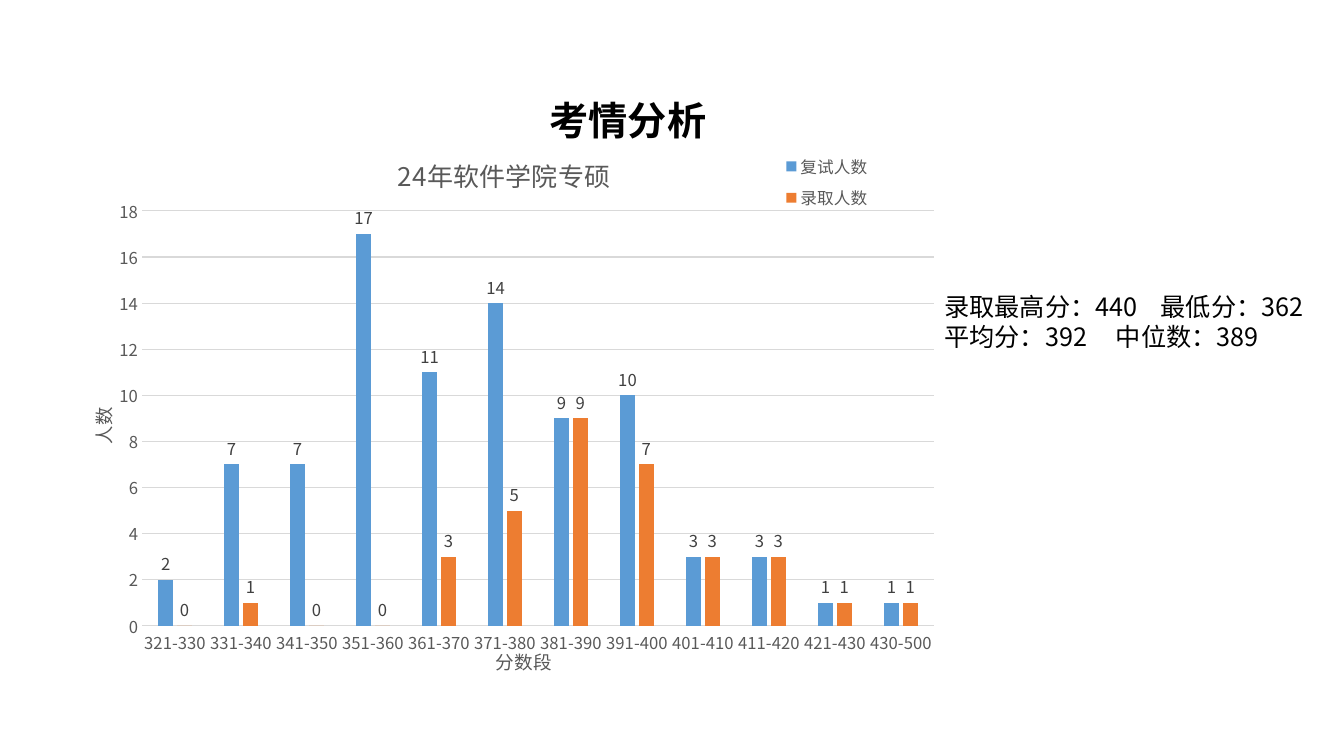
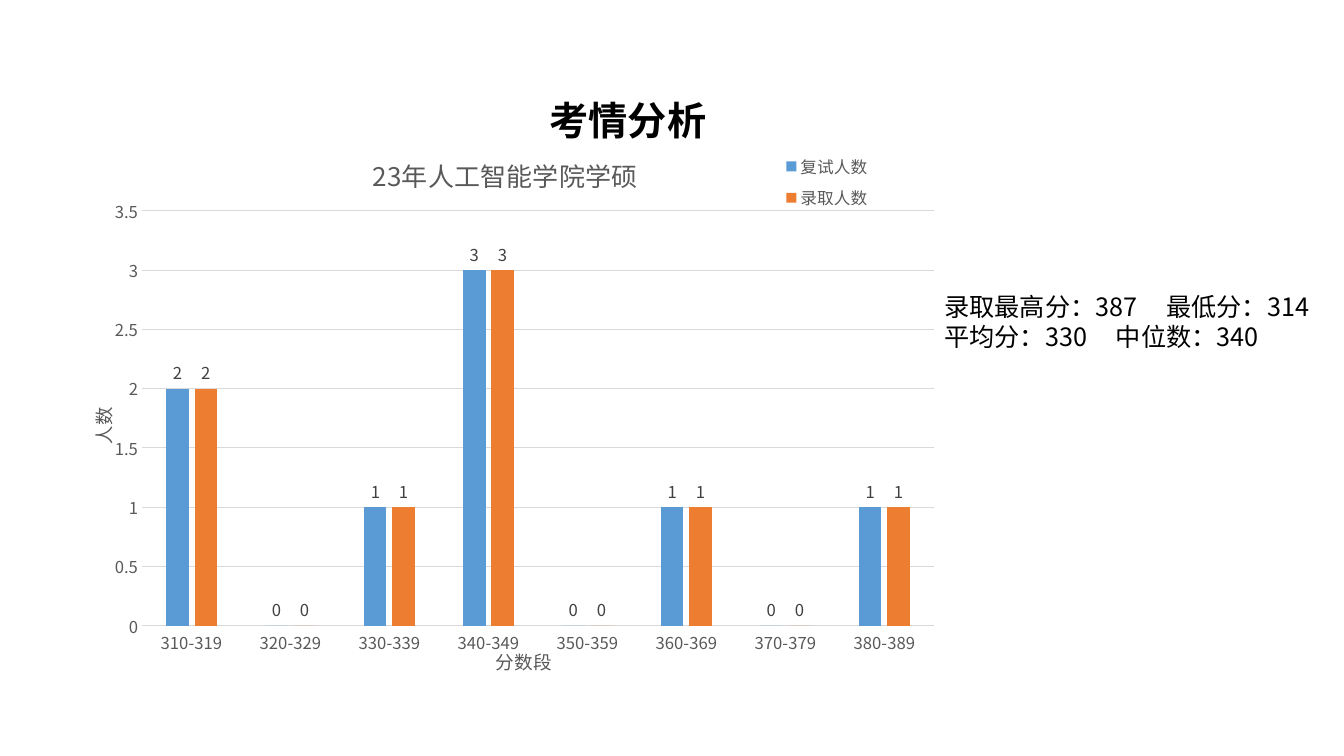
from dataclasses import dataclass

import lxml.etree
import pptx
import pptx.chart.data
import pptx.dml.color
import pptx.enum.chart
import pptx.enum.text
import pptx.oxml
import pptx.oxml.ns
import pptx.util

Pt = pptx.util.Pt
RGBColor = pptx.dml.color.RGBColor
qn = pptx.oxml.ns.qn

BLACK = RGBColor(0x00, 0x00, 0x00)
AXIS_TEXT = RGBColor(0x59, 0x59, 0x59)
LABEL_TEXT = RGBColor(0x40, 0x40, 0x40)
GRID = RGBColor(0xD9, 0xD9, 0xD9)
BLUE = RGBColor(0x5B, 0x9B, 0xD5)
ORANGE = RGBColor(0xED, 0x7D, 0x31)

HEADING_FONT = "Arial"
BODY_FONT = "Noto Sans CJK SC"
CHART_SIZE = 11.9
AXIS_TITLE_SIZE = 13.3
CHART_TITLE_SIZE = 18.6
CHART_WIDTH, CHART_HEIGHT = 607.5, 390

HEADING = "考情分析"
SERIES = (("复试人数", BLUE), ("录取人数", ORANGE))


@dataclass
class StatLine:
    left: str
    right: str
    tab: float


@dataclass
class ScoreSlide:
    title: str
    title_x: float
    bands: tuple[str, ...]
    interviewed: tuple[int, ...]
    admitted: tuple[int, ...]
    axis_max: float
    axis_step: float
    stats: tuple[StatLine, ...]


def score_bands(first: int, stop: int, width: int) -> tuple[str, ...]:
    """Labels of bands starting every ten points, each ending width later."""
    return tuple(f"{a}-{a + width}" for a in range(first, stop, 10))


SLIDES = (
    ScoreSlide(
        "24年软件学院专硕", 221,
        score_bands(321, 431, 9) + ("430-500",),
        (2, 7, 7, 17, 11, 14, 9, 10, 3, 3, 1, 1),
        (0, 1, 0, 0, 3, 5, 9, 7, 3, 3, 1, 1),
        18, 2,
        (StatLine("录取最高分：440", "最低分：362", 154.5),
         StatLine("平均分：392", "中位数：389", 122.5)),
    ),
    ScoreSlide(
        "23年人工智能学院学硕", 203,
        score_bands(310, 390, 9),
        (2, 0, 1, 3, 0, 1, 0, 1),
        (2, 0, 1, 3, 0, 1, 0, 1),
        3.5, 0.5,
        (StatLine("录取最高分：387", "最低分：314", 158.5),
         StatLine("平均分：330", "中位数：340", 122.5)),
    ),
)


def style_font(font, size: float, color: RGBColor, name: str = BODY_FONT,
               bold: bool = False) -> None:
    font.name = name
    font.size = Pt(size)
    font.bold = bold
    font.color.rgb = color


def set_east_asian_fonts(root) -> None:
    """Repeat every Latin body font as the East Asian font."""
    for latin in list(root.iter(qn("a:latin"))):
        if latin.get("typeface") == BODY_FONT:
            latin.addnext(latin.makeelement(qn("a:ea"), {"typeface": BODY_FONT}))


def place(el, x: float, y: float, w: float | None = None,
          h: float | None = None) -> None:
    """Give a chart part a manual layout, in points within the chart."""
    for old in el.findall(qn("c:layout")):
        el.remove(old)
    layout = el.makeelement(qn("c:layout"), {})
    manual = lxml.etree.SubElement(layout, qn("c:manualLayout"))
    values = {"xMode": "edge", "yMode": "edge"}
    if el.tag == qn("c:plotArea"):
        values = {"layoutTarget": "inner"} | values
    values |= {"x": x / CHART_WIDTH, "y": y / CHART_HEIGHT}
    if w is not None and h is not None:
        values |= {"w": w / CHART_WIDTH, "h": h / CHART_HEIGHT}
    for tag, value in values.items():
        lxml.etree.SubElement(manual, qn(f"c:{tag}")).set("val", str(value))
    before = [c for c in el if c.tag in (qn("c:tx"), qn("c:legendPos"))]
    el.insert(len(before), layout)


def add_text_box(s, left: float, top: float, width: float, height: float):
    tf = s.shapes.add_textbox(Pt(left), Pt(top), Pt(width), Pt(height)).text_frame
    tf.word_wrap = True
    tf.auto_size = pptx.enum.text.MSO_AUTO_SIZE.SHAPE_TO_FIT_TEXT
    return tf


def add_heading(s) -> None:
    tf = add_text_box(s, 256.5, 65.5, 384, 41)
    tf.text = HEADING
    p = tf.paragraphs[0]
    p.alignment = pptx.enum.text.PP_ALIGN.CENTER
    style_font(p.runs[0].font, 28, BLACK, HEADING_FONT, True)


def add_stats(s, stats: tuple[StatLine, ...]) -> None:
    tf = add_text_box(s, 667.5, 204.5, 302.5, 51)
    tf.text = "\n".join(f"{line.left}\t{line.right}" for line in stats)
    for p, line in zip(tf.paragraphs, stats):
        for r in p.runs:
            style_font(r.font, 18, BLACK)
        set_east_asian_fonts(p._p)
        tabs = lxml.etree.SubElement(p._p.get_or_add_pPr(), qn("a:tabLst"))
        tab = lxml.etree.SubElement(tabs, qn("a:tab"))
        tab.set("pos", str(int(Pt(line.tab))))
        tab.set("algn", "l")


def set_title(title, text: str, size: float) -> None:
    title.text_frame.text = text
    style_font(title.text_frame.paragraphs[0].runs[0].font, size, AXIS_TEXT)


def style_axes(chart, data: ScoreSlide) -> None:
    cat, val = chart.category_axis, chart.value_axis
    for axis, text in ((cat, "分数段"), (val, "人数")):
        set_title(axis.axis_title, text, AXIS_TITLE_SIZE)
        axis.major_tick_mark = pptx.enum.chart.XL_TICK_MARK.NONE
        axis.minor_tick_mark = pptx.enum.chart.XL_TICK_MARK.NONE
        style_font(axis.tick_labels.font, CHART_SIZE, AXIS_TEXT)
    val.has_major_gridlines = True
    for line in (cat.format.line, val.major_gridlines.format.line):
        line.color.rgb = GRID
        line.width = Pt(0.75)
    val.format.line.fill.background()
    val.minimum_scale = 0
    val.maximum_scale = data.axis_max
    val.major_unit = data.axis_step


def style_series(plot) -> None:
    plot.gap_width = 219
    plot.overlap = -27
    plot.vary_by_categories = False
    for series, (_, color) in zip(plot.series, SERIES):
        series.format.fill.solid()
        series.format.fill.fore_color.rgb = color
        labels = series.data_labels
        labels.show_value = True
        labels.position = pptx.enum.chart.XL_LABEL_POSITION.OUTSIDE_END
        style_font(labels.font, CHART_SIZE, LABEL_TEXT)


def add_score_chart(s, data: ScoreSlide) -> None:
    cd = pptx.chart.data.CategoryChartData()
    cd.categories = data.bands
    for (name, _), values in zip(SERIES, (data.interviewed, data.admitted)):
        cd.add_series(name, values)
    chart = s.shapes.add_chart(
        pptx.enum.chart.XL_CHART_TYPE.COLUMN_CLUSTERED,
        Pt(60), Pt(96), Pt(CHART_WIDTH), Pt(CHART_HEIGHT), cd).chart
    style_font(chart.font, 10, BLACK)
    set_title(chart.chart_title, data.title, CHART_TITLE_SIZE)
    style_axes(chart, data)
    style_series(chart.plots[0])
    chart.has_legend = True
    chart.legend.position = pptx.enum.chart.XL_LEGEND_POSITION.BOTTOM
    chart.legend.include_in_layout = False
    style_font(chart.legend.font, CHART_SIZE, AXIS_TEXT)

    root = chart.element
    title, cat_title, val_title = root.xpath(".//c:title")
    val_title.xpath(".//a:bodyPr")[0].set("rot", "-5400000")
    place(title, data.title_x, 10)
    place(cat_title, 292, 368)
    place(val_title, 0, 195)
    place(root.xpath(".//c:plotArea")[0], 41.5, 55.5, 566, 300.5)
    place(root.xpath(".//c:legend")[0], 494.5, 9.5, 73, 50)
    set_east_asian_fonts(root)


def main() -> None:
    prs = pptx.Presentation()
    prs.slide_width, prs.slide_height = Pt(960), Pt(540)
    for data in SLIDES:
        s = prs.slides.add_slide(prs.slide_layouts[6])
        add_heading(s)
        add_stats(s, data.stats)
        add_score_chart(s, data)
    prs.save("out.pptx")


if __name__ == "__main__":
    main()
